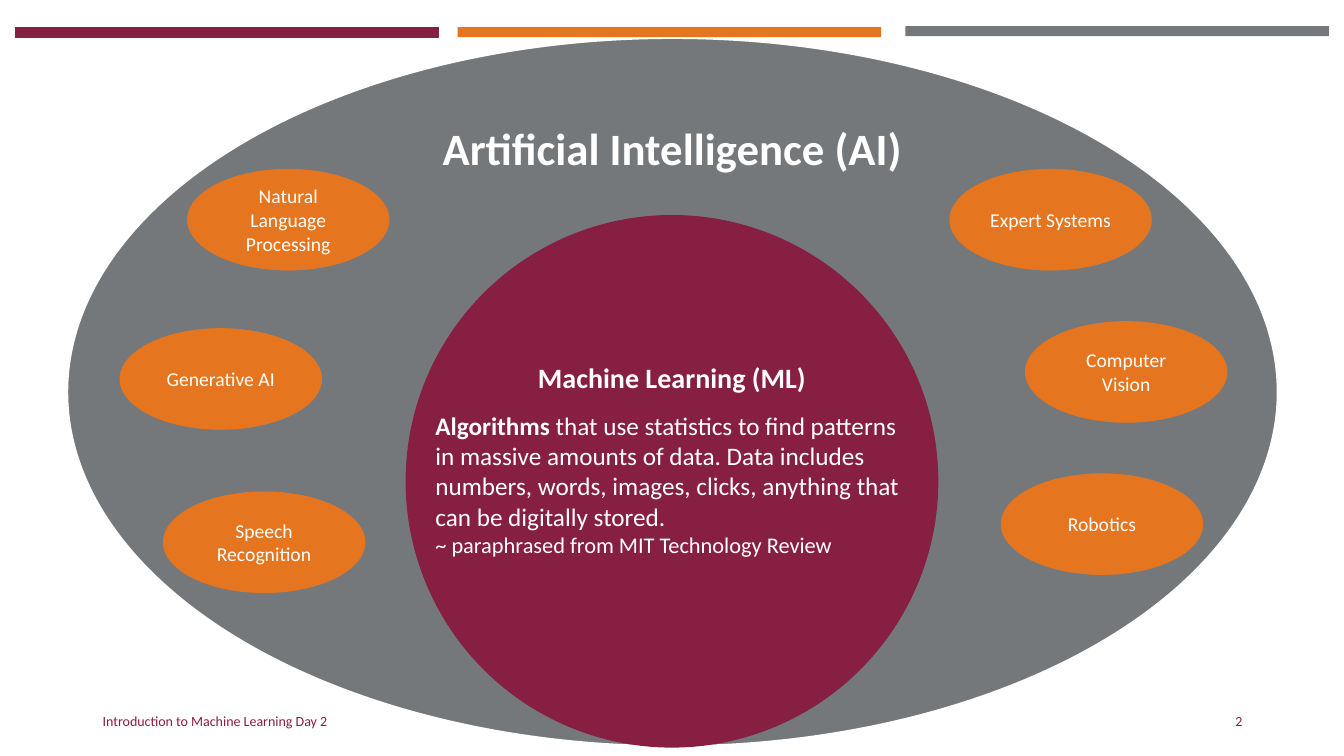
"""Builds a slide that places machine learning inside the field of artificial intelligence."""
from dataclasses import dataclass
from typing import Optional

import pptx
import pptx.dml.color
import pptx.enum.shapes
import pptx.enum.text
import pptx.util

Inches = pptx.util.Inches
Pt = pptx.util.Pt
Align = pptx.enum.text.PP_ALIGN
Anchor = pptx.enum.text.MSO_ANCHOR
Preset = pptx.enum.shapes.MSO_SHAPE

FONT = "Calibri"
COLORS = {
    "maroon": "861F41",
    "orange": "E5751F",
    "gray": "75787B",
    "white": "FFFFFF",
}


@dataclass(frozen=True)
class Region:
    """A filled area with an optional outline."""
    left: float
    top: float
    width: float
    height: float
    fill: str
    outline: Optional[str] = None
    outline_pt: float = 1
    preset: Preset = Preset.OVAL


@dataclass(frozen=True)
class Field:
    """A branch of artificial intelligence and its place."""
    label: str
    left: float
    top: float


@dataclass(frozen=True)
class Words:
    """A stretch of text in one format."""
    text: str
    size: float
    color: str = "white"
    bold: bool = False


BARS = [
    Region(0.15, 0.27, 4.2, 0.1, "maroon", "maroon", 0.75, Preset.RECTANGLE),
    Region(8.98, 0.26, 4.2, 0.1, "gray", preset=Preset.RECTANGLE),
    Region(4.54, 0.27, 4.2, 0.1, "orange", preset=Preset.RECTANGLE),
]
AI_REGION = Region(0.67, 0.38, 12, 7.02, "gray", "white")
ML_REGION = Region(4.03, 2.14, 5.27, 5.27, "maroon", "maroon")
FIELDS = [
    Field("Natural Language Processing", 1.86, 1.68),
    Field("Expert Systems", 9.42, 1.68),
    Field("Speech Recognition", 1.62, 4.88),
    Field("Computer Vision", 10.17, 3.19),
    Field("Robotics", 9.93, 4.7),
    Field("Generative AI", 1.19, 3.26),
]
DEFINITION = [
    [
        Words("Algorithms", 18, bold=True),
        Words(" that use statistics to find patterns in massive amounts of data. "
              "Data includes numbers, words, images, clicks, anything that can be "
              "digitally stored.", 18),
    ],
    [Words("~ paraphrased from MIT Technology Review", 16)],
]


def rgb(name: str) -> pptx.dml.color.RGBColor:
    """Return the named colour."""
    return pptx.dml.color.RGBColor.from_string(COLORS[name])


def draw_region(slide: pptx.slide.Slide, region: Region) -> pptx.shapes.autoshape.Shape:
    """Draw a filled area and return it."""
    area = slide.shapes.add_shape(
        region.preset, Inches(region.left), Inches(region.top),
        Inches(region.width), Inches(region.height))
    area.shadow.inherit = False
    area.fill.solid()
    area.fill.fore_color.rgb = rgb(region.fill)
    if region.outline:
        area.line.color.rgb = rgb(region.outline)
        area.line.width = Pt(region.outline_pt)
    else:
        area.line.fill.background()
    return area


def write(holder: pptx.shapes.autoshape.Shape, paragraphs: list[list[Words]],
          align: Align = Align.LEFT, anchor: Anchor = Anchor.MIDDLE,
          spacing: float = 1.0) -> None:
    """Fill a shape with formatted paragraphs."""
    frame = holder.text_frame
    frame.word_wrap = True
    frame.vertical_anchor = anchor
    for index, stretches in enumerate(paragraphs):
        paragraph = frame.add_paragraph() if index else frame.paragraphs[0]
        paragraph.alignment = align
        paragraph.line_spacing = spacing
        for words in stretches:
            run = paragraph.add_run()
            run.text = words.text
            run.font.name = FONT
            run.font.size = Pt(words.size)
            run.font.bold = words.bold
            run.font.color.rgb = rgb(words.color)


def add_text(slide: pptx.slide.Slide, left: float, top: float, width: float,
             height: float, paragraphs: list[list[Words]],
             align: Align = Align.LEFT, anchor: Anchor = Anchor.MIDDLE) -> None:
    """Add a text box."""
    box = slide.shapes.add_textbox(
        Inches(left), Inches(top), Inches(width), Inches(height))
    write(box, paragraphs, align, anchor)


def place_title(slide: pptx.slide.Slide) -> None:
    """Set the title in front of the outer region."""
    title = slide.shapes.title
    title.left, title.top = Inches(3.77), Inches(1.1)
    title.width, title.height = Inches(5.8), Inches(0.8)
    title.text_frame.auto_size = pptx.enum.text.MSO_AUTO_SIZE.NONE
    write(title, [[Words("Artificial Intelligence (AI)", 32, bold=True)]],
          Align.CENTER, spacing=0.9)
    slide.shapes.element.append(title.element)


def main() -> None:
    """Build and save the slide."""
    deck = pptx.Presentation()
    deck.slide_width, deck.slide_height = Inches(13.33), Inches(7.5)
    slide = deck.slides.add_slide(deck.slide_layouts.get_by_name("Title Only"))

    for bar in BARS:
        draw_region(slide, bar)
    add_text(slide, 0.92, 6.95, 4.5, 0.4,
             [[Words("Introduction to Machine Learning Day 2", 10, "maroon")]])
    add_text(slide, 9.42, 6.95, 3, 0.4, [[Words("2", 10, "maroon")]], Align.RIGHT)

    draw_region(slide, AI_REGION)
    place_title(slide)

    machine_learning = draw_region(slide, ML_REGION)
    machine_learning.text_frame.margin_top = Inches(0.7)
    write(machine_learning, [[Words("Machine Learning (ML)", 20, bold=True)]],
          Align.CENTER, Anchor.TOP, 0.9)

    for field in FIELDS:
        oval = draw_region(
            slide, Region(field.left, field.top, 2, 1, "orange", "orange", 0.5))
        write(oval, [[Words(field.label, 14)]], Align.CENTER)

    add_text(slide, 4.22, 4.02, 4.9, 1.88, DEFINITION, anchor=Anchor.TOP)
    deck.save("out.pptx")


if __name__ == "__main__":
    main()
